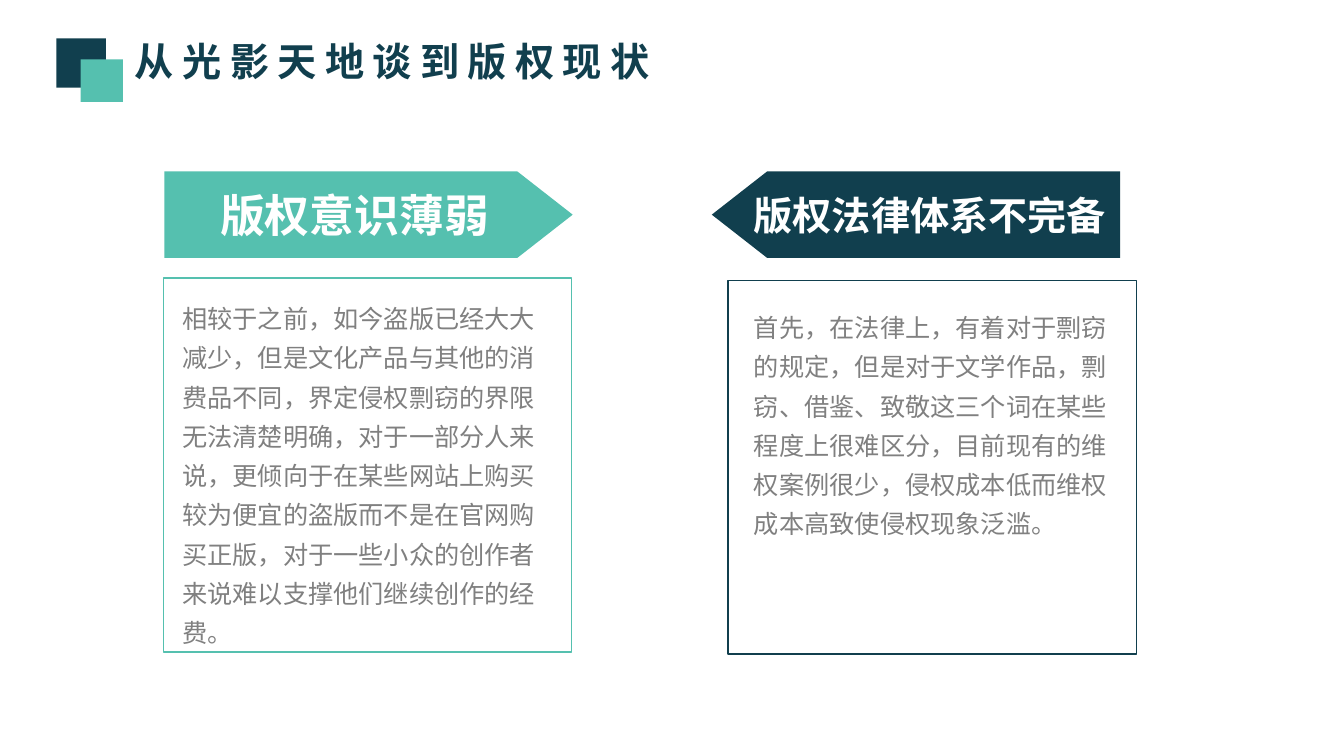
import pptx
import pptx.util
import pptx.dml.color
import pptx.enum.shapes
import pptx.enum.text
import pptx.oxml.ns
import lxml.etree

WIDTH, HEIGHT = 13.33, 7.5
FONT = "Noto Sans CJK SC"
COLORS = {"navy": "113F4E", "teal": "55C0AF", "gray": "808080", "white": "FFFFFF"}
SHAPES = pptx.enum.shapes.MSO_SHAPE
ALIGN = pptx.enum.text.PP_ALIGN
ANCHOR = pptx.enum.text.MSO_ANCHOR
PANELS = [
    dict(box=(1.62, 1.7, 4.05, 4.77), color="teal", heading="版权意识薄弱",
         size=32, flip=False, arrow_shift=0.01, frame_top=1.06, body=(0.09, 1.17, 3.65),
         text="相较于之前，如今盗版已经大大减少，但是文化产品与其他的消费品不同，"
              "界定侵权剽窃的界限无法清楚明确，对于一部分人来说，更倾向于在某些网站上"
              "购买较为便宜的盗版而不是在官网购买正版，对于一些小众的创作者来说难以"
              "支撑他们继续创作的经费。"),
    dict(box=(7.22, 1.7, 4.05, 4.79), color="navy", heading="版权法律体系不完备",
         size=28, flip=True, arrow_shift=-0.16, frame_top=1.08, body=(0.16, 1.26, 2.46),
         text="首先，在法律上，有着对于剽窃的规定，但是对于文学作品，剽窃、借鉴、"
              "致敬这三个词在某些程度上很难区分，目前现有的维权案例很少，侵权成本低"
              "而维权成本高致使侵权现象泛滥。"),
]


def rgb(name):
    """Return the palette colour with this name."""
    return pptx.dml.color.RGBColor.from_string(COLORS[name])


def inches(box):
    """Turn a box in inches into lengths."""
    return [pptx.util.Inches(value) for value in box]


def apply(target, values):
    """Set each attribute in values on the target."""
    for name, value in values.items():
        setattr(target, name, value)


def add_block(page, kind, box, fill=None, line=None):
    """Add a flat preset shape with an optional fill and outline."""
    shape = page.shapes.add_shape(kind, *inches(box))
    shape.shadow.inherit = False
    for part, color in ((shape.fill, fill), (shape.line.fill, line)):
        if color:
            part.solid()
            part.fore_color.rgb = rgb(color)
        else:
            part.background()
    if line:
        shape.line.width = pptx.util.Pt(1)
    return shape


def write(shape, text, size, color, bold=False, spacing=0, frame=None, para=None):
    """Write one paragraph with the given font, frame and paragraph values."""
    apply(shape.text_frame, frame or {})
    first = shape.text_frame.paragraphs[0]
    apply(first, para or {})
    span = first.add_run()
    span.text = text
    apply(span.font, dict(name=FONT, size=pptx.util.Pt(size), bold=bold))
    span.font.color.rgb = rgb(color)
    props = span.font._element
    east_asian = lxml.etree.SubElement(props, pptx.oxml.ns.qn("a:ea"))
    east_asian.set("typeface", FONT)
    if spacing:
        props.set("spc", str(spacing * 100))


def add_title(page, box):
    """Place the overlapping squares and the slide title."""
    left, top, width, height = box
    text_box = page.shapes.add_textbox(*inches((left + 0.68, top - 0.06, width - 0.68, 0.57)))
    write(text_box, "从光影天地谈到版权现状", 28, "navy", bold=True, spacing=6,
          frame=dict(word_wrap=False))
    add_block(page, SHAPES.RECTANGLE, (left, top, 0.49, 0.49), fill="navy")
    add_block(page, SHAPES.RECTANGLE, (left + 0.24, top + height - 0.42, 0.42, 0.42), fill="teal")


def add_panel(page, box, color, heading, size, flip, arrow_shift, frame_top, body, text):
    """Place an arrow heading above a framed paragraph."""
    left, top, width, height = box
    add_block(page, SHAPES.RECTANGLE, (left, top + frame_top, width, height - frame_top), line=color)
    arrow = add_block(page, SHAPES.PENTAGON, (left + arrow_shift, top, width, 0.86), fill=color)
    arrow.adjustments[0] = 0.64
    if flip:
        arrow._element.spPr.find(pptx.oxml.ns.qn("a:xfrm")).set("flipH", "1")
    write(arrow, heading, size, "white", bold=True,
          frame=dict(word_wrap=False, vertical_anchor=ANCHOR.MIDDLE),
          para=dict(alignment=ALIGN.CENTER))
    indent, drop, depth = body
    text_box = page.shapes.add_textbox(*inches((left + indent, top + drop, width * 0.96, depth)))
    write(text_box, text, 18, "gray", frame=dict(word_wrap=True), para=dict(line_spacing=1.3))


def main():
    """Build the slide and save it."""
    deck = pptx.Presentation()
    apply(deck, dict(slide_width=pptx.util.Inches(WIDTH), slide_height=pptx.util.Inches(HEIGHT)))
    page = deck.slides.add_slide(deck.slide_layouts[6])
    add_title(page, (0.56, 0.38, 6.13, 0.63))
    for panel in PANELS:
        add_panel(page, **panel)
    deck.save("out.pptx")


main()
